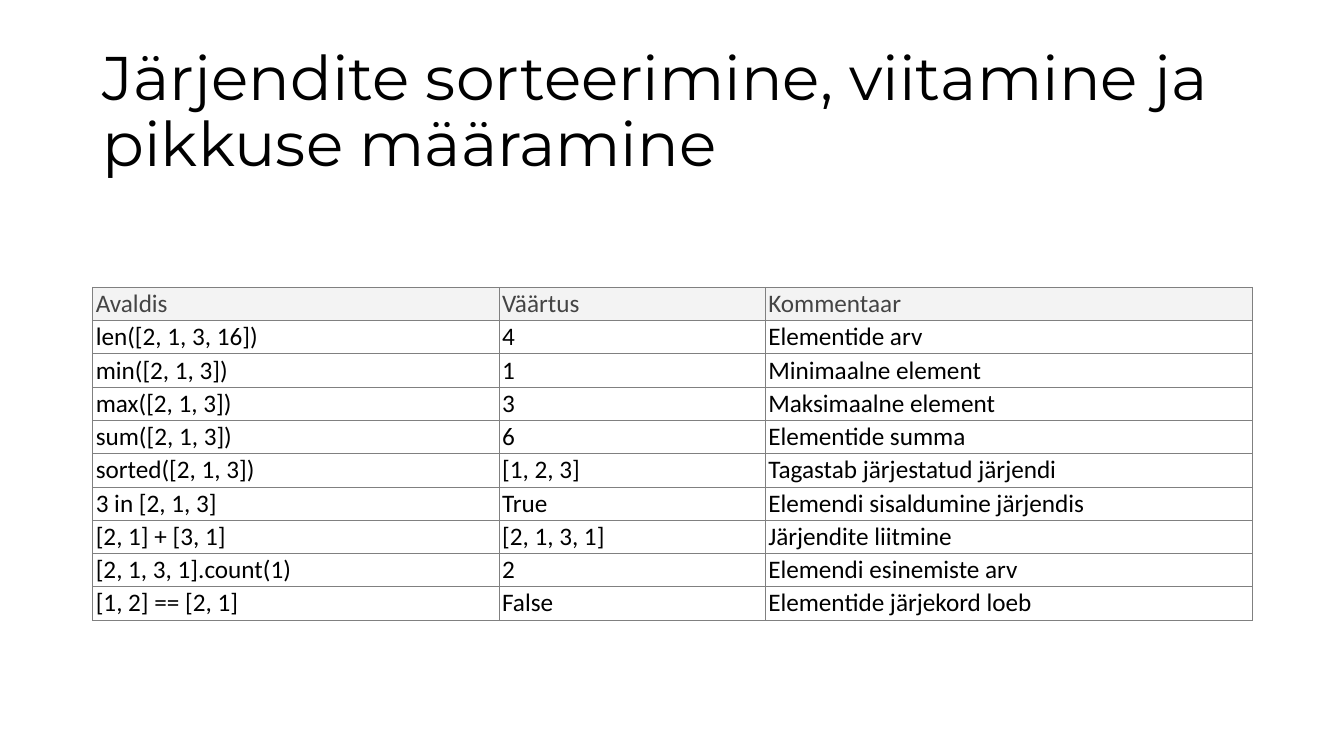
from lxml import etree
from pptx import Presentation
from pptx import util as u
from pptx.dml.color import RGBColor
from pptx.enum import text
from pptx.oxml import ns

BLACK = RGBColor(0x00, 0x00, 0x00)
WHITE = RGBColor(0xFF, 0xFF, 0xFF)
HEADER_TEXT = RGBColor(0x44, 0x44, 0x44)
HEADER_FILL = RGBColor(0xF3, 0xF3, 0xF3)
GRID = RGBColor(0x80, 0x80, 0x80)

LEFT, WIDTH = 0.92, 11.5
COLUMN_WIDTHS = (4.03, 2.64, 4.83)
ROW_HEIGHT = 0.33

EXPRESSIONS = [
    ("Avaldis", "Väärtus", "Kommentaar"),
    ("len([2, 1, 3, 16])", "4", "Elementide arv"),
    ("min([2, 1, 3])", "1", "Minimaalne element"),
    ("max([2, 1, 3])", "3", "Maksimaalne element"),
    ("sum([2, 1, 3])", "6", "Elementide summa"),
    ("sorted([2, 1, 3])", "[1, 2, 3]", "Tagastab järjestatud järjendi"),
    ("3 in [2, 1, 3]", "True", "Elemendi sisaldumine järjendis"),
    ("[2, 1] + [3, 1]", "[2, 1, 3, 1]", "Järjendite liitmine"),
    ("[2, 1, 3, 1].count(1)", "2", "Elemendi esinemiste arv"),
    ("[1, 2] == [2, 1]", "False", "Elementide järjekord loeb"),
]


class SlideBuilder:
    title_font, title_size = "Montserrat", u.Pt(44)
    body_font, body_size = "Calibri", u.Pt(18)
    border_width = u.Pt(0.5)

    def __init__(self, slide):
        self.slide = slide

    def style(self, paragraph, name, size, color):
        font = paragraph.font
        font.name, font.size, font.color.rgb = name, size, color

    def title(self, wording, left, top, width, height):
        box = self.slide.shapes.add_textbox(
            *map(u.Inches, (left, top, width, height)))
        frame = box.text_frame
        frame.word_wrap = True
        frame.vertical_anchor = text.MSO_ANCHOR.MIDDLE
        heading = frame.paragraphs[0]
        heading.text = wording
        heading.line_spacing = 0.9
        self.style(heading, self.title_font, self.title_size, BLACK)

    def table(self, rows, left, top, column_widths, row_height):
        grid = self.slide.shapes.add_table(
            len(rows), len(column_widths), u.Inches(left), u.Inches(top),
            u.Inches(sum(column_widths)),
            u.Inches(row_height * len(rows))).table
        for column, width in zip(grid.columns, column_widths):
            column.width = u.Inches(width)
        for r, row in enumerate(rows):
            color, fill = (BLACK, WHITE) if r else (HEADER_TEXT, HEADER_FILL)
            for c, wording in enumerate(row):
                self.cell(grid.cell(r, c), wording, color, fill)

    def cell(self, cell, wording, color, fill):
        cell.margin_left = cell.margin_right = u.Inches(0.03)
        cell.margin_top = cell.margin_bottom = u.Inches(0.01)
        cell.vertical_anchor = text.MSO_ANCHOR.MIDDLE
        self.borders(cell)
        cell.fill.solid()
        cell.fill.fore_color.rgb = fill
        cell.text = wording
        self.style(cell.text_frame.paragraphs[0],
                   self.body_font, self.body_size, color)

    def borders(self, cell):
        properties = cell._tc.get_or_add_tcPr()
        for side in ("a:lnL", "a:lnR", "a:lnT", "a:lnB"):
            line = etree.SubElement(properties, ns.qn(side),
                                    w=str(self.border_width))
            solid = etree.SubElement(line, ns.qn("a:solidFill"))
            etree.SubElement(solid, ns.qn("a:srgbClr"), val=str(GRID))


def main():
    deck = Presentation()
    deck.slide_width, deck.slide_height = u.Inches(13.33), u.Inches(7.5)
    builder = SlideBuilder(deck.slides.add_slide(deck.slide_layouts[6]))
    builder.title("Järjendite sorteerimine, viitamine ja pikkuse määramine",
                  LEFT, 0.4, WIDTH, 1.45)
    builder.table(EXPRESSIONS, LEFT, 2.85, COLUMN_WIDTHS, ROW_HEIGHT)
    deck.save("out.pptx")


if __name__ == "__main__":
    main()
